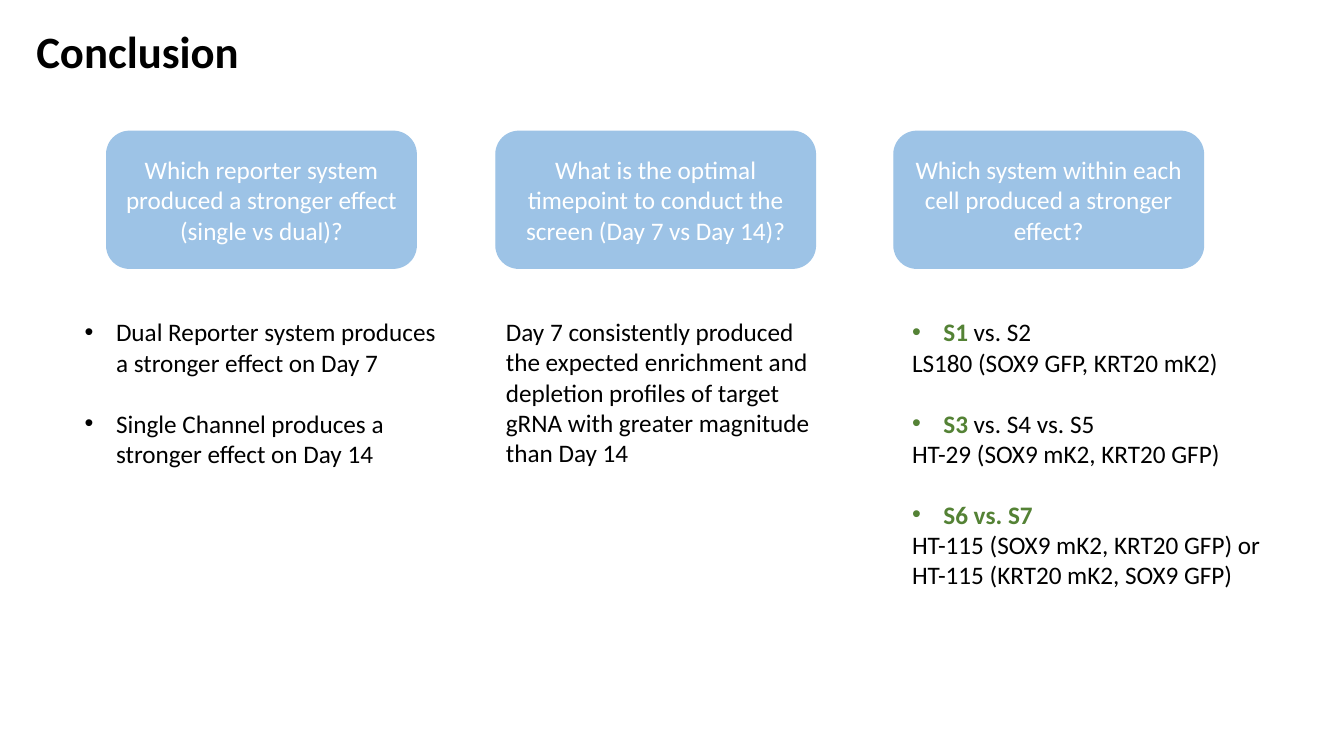
from pptx import Presentation
from pptx import util as u
from pptx.dml import color
from pptx.enum import shapes, text
from lxml import etree

COLORS = {"question": "9DC3E6", "winner": "548235", "dark": "000000", "light": "FFFFFF"}
DRAWING = "{http://schemas.openxmlformats.org/drawingml/2006/main}"


def add_text(paragraph, words, size=18, ink="dark", bold=False):
    run = paragraph.add_run()
    run.text = words
    run.font.name = "Calibri"
    run.font.size = u.Pt(size)
    run.font.bold = bold
    run.font.color.rgb = color.RGBColor.from_string(COLORS[ink])


def set_bullet(paragraph, bulleted):
    indent = u.Cm(0.79) if bulleted else 0
    properties = paragraph._p.get_or_add_pPr()
    properties.set("marL", str(indent))
    properties.set("indent", str(-indent))
    if bulleted:
        etree.SubElement(properties, DRAWING + "buFont", typeface="Arial")
        etree.SubElement(properties, DRAWING + "buChar", char="•")
    else:
        etree.SubElement(properties, DRAWING + "buNone")


presentation = Presentation()
presentation.slide_width = u.Cm(33.87)
presentation.slide_height = u.Cm(19.05)
slide = presentation.slides.add_slide(presentation.slide_layouts.get_by_name("Two Content"))

title = slide.shapes.title
title.left, title.top, title.width, title.height = u.Cm(0.66), u.Cm(0.46), u.Cm(6), u.Cm(1.63)
title.text_frame.auto_size = text.MSO_AUTO_SIZE.NONE
title.text_frame.vertical_anchor = text.MSO_ANCHOR.TOP
title_paragraph = title.text_frame.paragraphs[0]
title_paragraph.alignment = text.PP_ALIGN.LEFT
add_text(title_paragraph, "Conclusion", size=32, bold=True)

questions = [
    (2.69, 7.8, "Which reporter system produced a stronger effect (single vs dual)?"),
    (12.5, 8.05, "What is the optimal timepoint to conduct the screen (Day 7 vs Day 14)?"),
    (22.53, 7.8, "Which system within each cell produced a stronger effect?"),
]
for left, width, question in questions:
    box = slide.shapes.add_shape(
        shapes.MSO_SHAPE.ROUNDED_RECTANGLE, u.Cm(left), u.Cm(3.31), u.Cm(width), u.Cm(3.45)
    )
    box.shadow.inherit = False
    box.fill.solid()
    box.fill.fore_color.rgb = color.RGBColor.from_string(COLORS["question"])
    box.line.color.rgb = color.RGBColor.from_string(COLORS["question"])
    box.line.width = u.Pt(1)
    box.text_frame.word_wrap = True
    box.text_frame.vertical_anchor = text.MSO_ANCHOR.MIDDLE
    box.text_frame.paragraphs[0].alignment = text.PP_ALIGN.CENTER
    add_text(box.text_frame.paragraphs[0], question, ink="light")

reporter_list, system_list = list(slide.placeholders)[1:3]
timepoint_box = slide.shapes.add_textbox(0, 0, 0, 0)

answers = [
    (reporter_list, 1.88, 9.75, 4.11, [
        ("", "Dual Reporter system produces a stronger effect on Day 7", True),
        ("", "Single Channel produces a stronger effect on Day 14", True),
    ]),
    (timepoint_box, 12.5, 8.53, 4.11, [
        ("", "Day 7 consistently produced the expected enrichment and depletion profiles "
             "of target gRNA with greater magnitude than Day 14", False),
    ]),
    (system_list, 22.73, 9.53, 8.71, [
        ("S1", " vs. S2", True),
        ("", "LS180 (SOX9 GFP, KRT20 mK2)", False),
        ("S3", " vs. S4 vs. S5", True),
        ("", "HT-29 (SOX9 mK2, KRT20 GFP)", False),
        ("S6 vs. S7", "", True),
        ("", "HT-115 (SOX9 mK2, KRT20 GFP) or", False),
        ("", "HT-115 (KRT20 mK2, SOX9 GFP)", False),
    ]),
]
for answer, left, width, height, lines in answers:
    answer.left, answer.top, answer.width, answer.height = u.Cm(left), u.Cm(7.85), u.Cm(width), u.Cm(height)
    frame = answer.text_frame
    frame.word_wrap = True
    frame.auto_size = text.MSO_AUTO_SIZE.NONE
    for index, (winner, words, bulleted) in enumerate(lines):
        paragraph = frame.add_paragraph() if index else frame.paragraphs[0]
        paragraph.space_before = u.Pt(22 if index and bulleted else 0)
        set_bullet(paragraph, bulleted)
        if winner:
            add_text(paragraph, winner, ink="winner", bold=True)
        if words:
            add_text(paragraph, words)

presentation.save("out.pptx")
